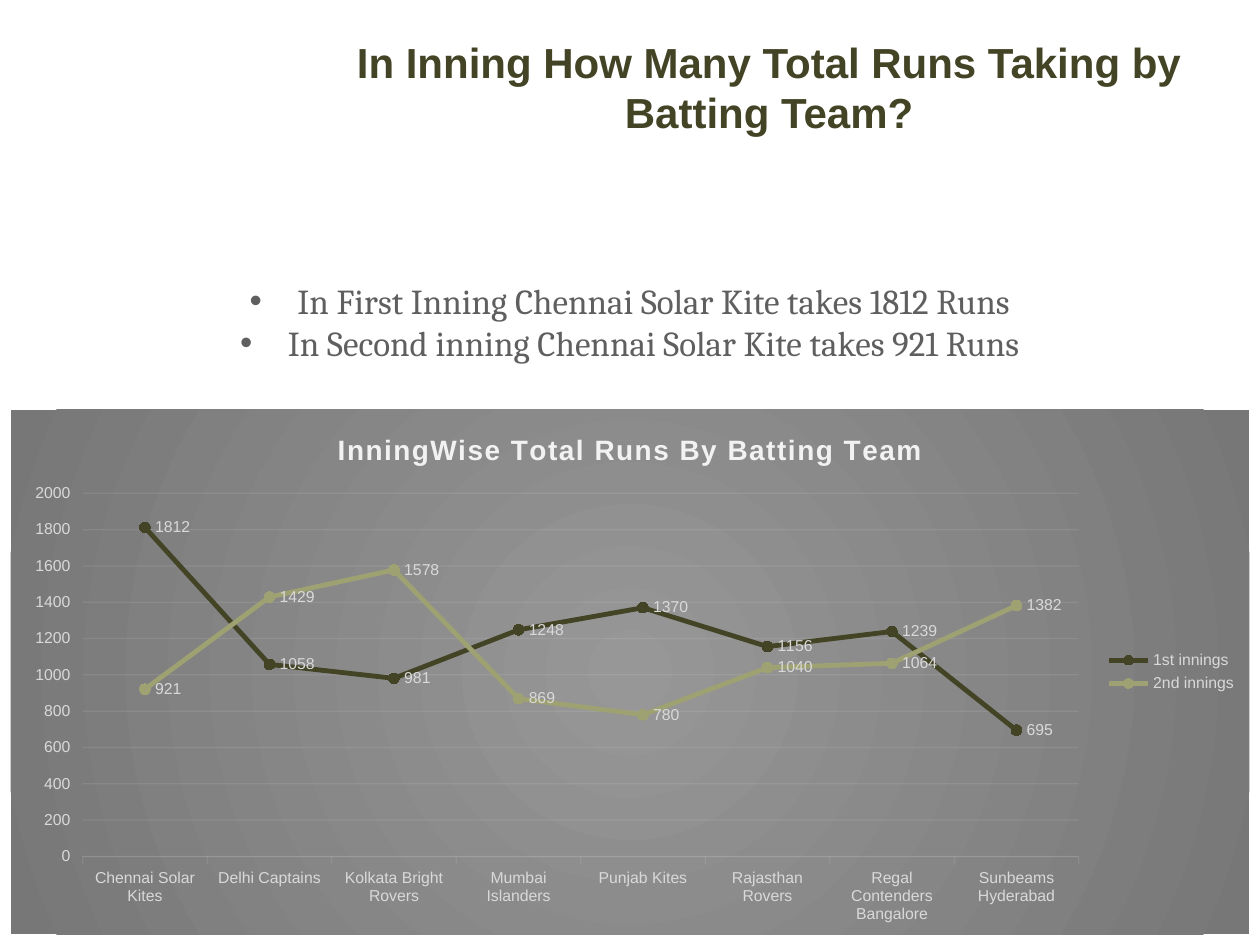
from lxml import etree
from pptx import Presentation, util as u
from pptx.chart.data import CategoryChartData
from pptx.dml.color import RGBColor
from pptx.enum import chart as ch, text
from pptx.oxml import parse_xml
from pptx.oxml.ns import nsdecls, qn

COLORS = {
    "olive": "434425", "olive_marker": "444623",
    "sage": "9EA171", "sage_marker": "A0A36F",
    "body": "5F5F5F", "label": "D9D9D9", "light": "F2F2F2",
    "glow": "979797", "edge": "777777",
}
COLUMNS, ROWS = 120, 90

TEAMS = ["Chennai Solar Kites", "Delhi Captains", "Kolkata Bright Rovers",
         "Mumbai Islanders", "Punjab Kites", "Rajasthan Rovers",
         "Regal Contenders Bangalore", "Sunbeams Hyderabad"]
INNINGS = {
    "1st innings": ("olive", [1812, 1058, 981, 1248, 1370, 1156, 1239, 695]),
    "2nd innings": ("sage", [921, 1429, 1578, 869, 780, 1040, 1064, 1382]),
}


class SlideBuilder:
    def __init__(self, deck):
        self.slide = deck.slides.add_slide(deck.slide_layouts[6])
        self.cell = deck.slide_width / COLUMNS, deck.slide_height / ROWS

    def place(self, col, row, cols, rows):
        across, down = self.cell
        return [u.Emu(round(n)) for n in
                (col * across, row * down, cols * across, rows * down)]

    def style(self, font, size, color, face="Arial", bold=False):
        font.name, font.size, font.bold = face, u.Pt(size), bold
        font.color.rgb = RGBColor.from_string(COLORS[color])

    def text_box(self, area, lines, size, color, face="Arial", bold=False,
                 anchor=text.MSO_ANCHOR.TOP, margin=0.1, bullets=False):
        frame = self.slide.shapes.add_textbox(*self.place(*area)).text_frame
        frame.word_wrap = True
        frame.vertical_anchor = anchor
        frame.margin_left = frame.margin_right = u.Inches(margin)
        frame.text = "\n".join(lines)
        for line in frame.paragraphs:
            line.alignment = text.PP_ALIGN.CENTER
            if bullets:
                props = line._p.get_or_add_pPr()
                props.set("marL", str(u.Inches(0.38)))
                props.set("indent", str(-u.Inches(0.38)))
                etree.SubElement(props, qn("a:buFont")).set("typeface", "Arial")
                etree.SubElement(props, qn("a:buChar")).set("char", "•")
            self.style(line.font, size, color, face, bold)

    def faint_line(self, line):
        line.width = u.Pt(0.75)
        line.color.rgb = RGBColor.from_string(COLORS["light"])
        tint = line.fill._xPr.find(".//" + qn("a:srgbClr"))
        etree.SubElement(tint, qn("a:alpha")).set("val", "10000")

    def radial_fill(self, chart):
        stops = "".join(
            f'<a:gs pos="{pos}"><a:srgbClr val="{COLORS[name]}"/></a:gs>'
            for pos, name in ((0, "glow"), (100000, "edge")))
        chart._chartSpace.find(qn("c:chart")).addnext(parse_xml(
            f'<c:spPr {nsdecls("c", "a")}><a:gradFill><a:gsLst>{stops}</a:gsLst>'
            '<a:path path="circle"><a:fillToRect l="50000" t="50000" r="50000" '
            'b="50000"/></a:path></a:gradFill><a:ln><a:noFill/></a:ln></c:spPr>'))

    def line_chart(self, area, title, categories, lines):
        data = CategoryChartData()
        data.categories = categories
        for name, (_, runs) in lines.items():
            data.add_series(name, runs)
        chart = self.slide.shapes.add_chart(
            ch.XL_CHART_TYPE.LINE_MARKERS, *self.place(*area), data).chart
        self.style(chart.font, 10, "body")
        self.radial_fill(chart)

        # Title and legend
        chart.has_title = True
        heading = chart.chart_title.text_frame
        heading.text = title
        self.style(heading.paragraphs[0].font, 16, "light", bold=True)
        heading.paragraphs[0].font._element.set("spc", "100")
        chart.chart_title.include_in_layout = False
        chart.has_legend = True
        chart.legend.position = ch.XL_LEGEND_POSITION.RIGHT
        chart.legend.include_in_layout = False
        self.style(chart.legend.font, 9, "label")

        # Axes
        for axis in (chart.category_axis, chart.value_axis):
            axis.major_tick_mark = ch.XL_TICK_MARK.OUTSIDE
            self.style(axis.tick_labels.font, 9, "label")
        self.faint_line(chart.category_axis.format.line)
        runs_axis = chart.value_axis
        runs_axis.minimum_scale, runs_axis.maximum_scale = 0, 2000
        runs_axis.major_unit = 200
        runs_axis.format.line.fill.background()
        self.faint_line(runs_axis.major_gridlines.format.line)

        # Series
        plot = chart.plots[0]
        plot.vary_by_categories = False
        for series, (color, _) in zip(plot.series, lines.values()):
            series.smooth = False
            series.format.line.width = u.Pt(2.75)
            series.format.line.color.rgb = RGBColor.from_string(COLORS[color])
            marker = series.marker
            marker.style, marker.size = ch.XL_MARKER_STYLE.CIRCLE, 6
            shade = RGBColor.from_string(COLORS[color + "_marker"])
            marker.format.fill.solid()
            marker.format.fill.fore_color.rgb = shade
            marker.format.line.color.rgb = shade
            labels = series.data_labels
            labels.show_value = True
            labels.position = ch.XL_LABEL_POSITION.RIGHT
            self.style(labels.font, 9, "label")


def main():
    deck = Presentation()
    deck.slide_width, deck.slide_height = u.Inches(10), u.Inches(7.5)
    page = SlideBuilder(deck)

    # Question
    page.text_box((26, 4, 94.5, 8.5),
                  ["In Inning How Many Total Runs Taking by Batting Team?"],
                  24, "olive", bold=True, anchor=text.MSO_ANCHOR.MIDDLE,
                  margin=0.2)

    # Runs by innings
    page.line_chart((1, 39, 118, 50), "InningWise Total Runs By Batting Team",
                    TEAMS, INNINGS)

    # Findings
    page.text_box((3.5, 26, 113, 9.25),
                  ["In First Inning Chennai Solar Kite takes 1812 Runs",
                   "In Second inning Chennai Solar Kite takes 921 Runs"],
                  20, "body", face="Cambria", bullets=True)

    deck.save("out.pptx")


if __name__ == "__main__":
    main()
